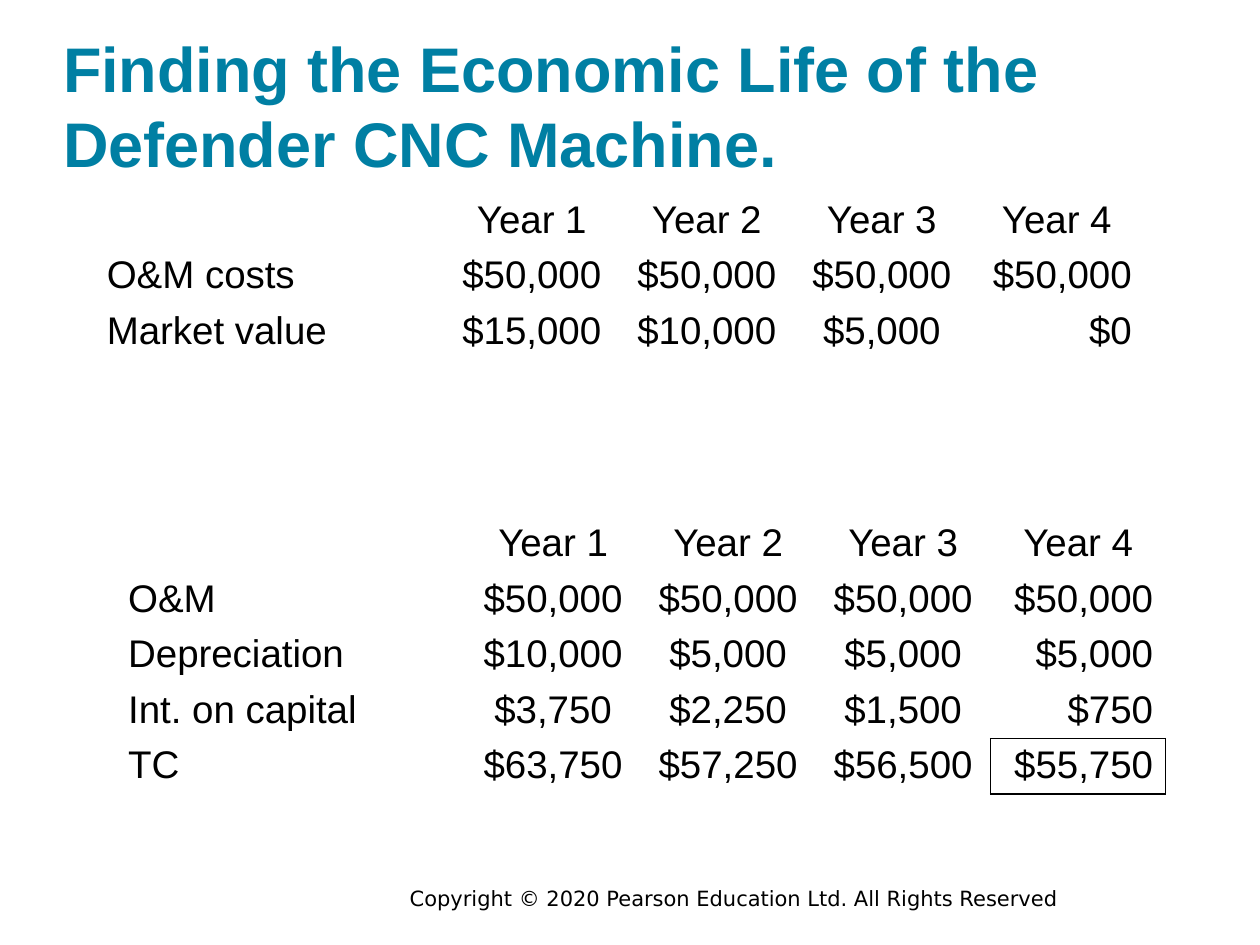
from lxml.etree import SubElement
from pptx import Presentation
from pptx.dml.color import RGBColor
from pptx.enum.text import MSO_ANCHOR, MSO_AUTO_SIZE, PP_ALIGN
from pptx.oxml.ns import qn
from pptx.util import Cm, Pt

YEARS = ["Year 1", "Year 2", "Year 3", "Year 4"]
MARKET_ROWS = [
    ["O&M costs", "$50,000", "$50,000", "$50,000", "$50,000"],
    ["Market value", "$15,000", "$10,000", "$5,000", "$0"],
]
COST_ROWS = [
    ["O&M", "$50,000", "$50,000", "$50,000", "$50,000"],
    ["Depreciation", "$10,000", "$5,000", "$5,000", "$5,000"],
    ["Int. on capital", "$3,750", "$2,250", "$1,500", "$750"],
    ["TC", "$63,750", "$57,250", "$56,500", "$55,750"],
]
NO_STYLE = "{2D5ABB26-0587-4C30-8999-92F81FD0307C}"
ROW_HEIGHT = 1.12


def color(value):
    """Turn a hex string into a colour."""
    return RGBColor.from_string(value)


def style(p, name, size, value, bold=False):
    """Set the font of a whole paragraph."""
    p.font.name, p.font.size, p.font.bold = name, Pt(size), bold
    p.font.color.rgb = color(value)


def place(sp, left, top, width, height):
    """Move a shape to a box in centimetres and clear its text margins."""
    sp.left, sp.top, sp.width, sp.height = map(Cm, (left, top, width, height))
    tf = sp.text_frame
    tf.margin_left = tf.margin_right = tf.margin_top = tf.margin_bottom = 0
    tf.word_wrap = True
    tf.auto_size = MSO_AUTO_SIZE.NONE
    return tf


def add_title(s, text, *box):
    """Fill the title placeholder."""
    tf = place(s.shapes.title, *box)
    tf.vertical_anchor = MSO_ANCHOR.BOTTOM
    tf.text = text
    p = tf.paragraphs[0]
    p.alignment = PP_ALIGN.LEFT
    p.line_spacing = Pt(43)
    style(p, "Arial", 36, "007FA3", bold=True)


def add_copyright(s, text, *box):
    """Add the copyright line."""
    tf = place(s.shapes.add_textbox(0, 0, 0, 0), *box)
    tf.text = text
    style(tf.paragraphs[0], "DejaVu Sans", 12, "000000")


def write(cell, text, align):
    """Write one table cell."""
    cell.text = text
    p = cell.text_frame.paragraphs[0]
    p.alignment = align
    style(p, "Arial", 22, "000000")


def add_border(cell, sides, value="000000"):
    """Draw one-point borders on the given sides of a cell."""
    tcPr = cell._tc.get_or_add_tcPr()
    for i, side in enumerate(sides):
        ln = SubElement(tcPr, qn(f"a:ln{side}"), w=str(Pt(1)))
        fill = SubElement(ln, qn("a:solidFill"))
        SubElement(fill, qn("a:srgbClr"), val=value)
        tcPr.remove(ln)
        tcPr.insert(i, ln)


def add_year_table(s, rows, left, top, width):
    """Add a table of yearly amounts with labels across two columns."""
    count = len(rows) + 1
    frame = s.shapes.add_table(count, 6, Cm(left), Cm(top), Cm(width), Cm(ROW_HEIGHT * count))
    table = frame.table
    table.first_row = table.horz_banding = False
    table._tbl.tblPr.find(qn("a:tableStyleId")).text = NO_STYLE
    for row in table.rows:
        row.height = Cm(ROW_HEIGHT)
        for cell in row.cells:
            cell.fill.background()
            cell.margin_top = cell.margin_bottom = Cm(0.11)
    for c, year in enumerate(YEARS, 2):
        write(table.cell(0, c), year, PP_ALIGN.CENTER)
    for r, (label, *amounts) in enumerate(rows, 1):
        table.cell(r, 0).merge(table.cell(r, 1))
        write(table.cell(r, 0), label, PP_ALIGN.LEFT)
        for c, amount in enumerate(amounts, 2):
            write(table.cell(r, c), amount, PP_ALIGN.RIGHT if c == 5 else PP_ALIGN.CENTER)
    return table


def main():
    """Build the slide."""
    prs = Presentation()
    prs.slide_width, prs.slide_height = Cm(25.4), Cm(19.05)
    s = prs.slides.add_slide(prs.slide_layouts[5])
    add_copyright(s, "Copyright © 2020 Pearson Education Ltd. All Rights Reserved", 8.26, 17.86, 16.71, 0.5)
    add_title(s, "Finding the Economic Life of the Defender CNC Machine.", 1.27, 0.56, 22.86, 3.07)
    add_year_table(s, MARKET_ROWS, 1.9, 3.89, 21.17)
    costs = add_year_table(s, COST_ROWS, 2.33, 10.41, 21.17)
    add_border(costs.cell(4, 5), "LRTB")
    add_border(costs.cell(4, 4), "R")
    add_border(costs.cell(3, 5), "B")
    prs.save("out.pptx")


if __name__ == "__main__":
    main()
